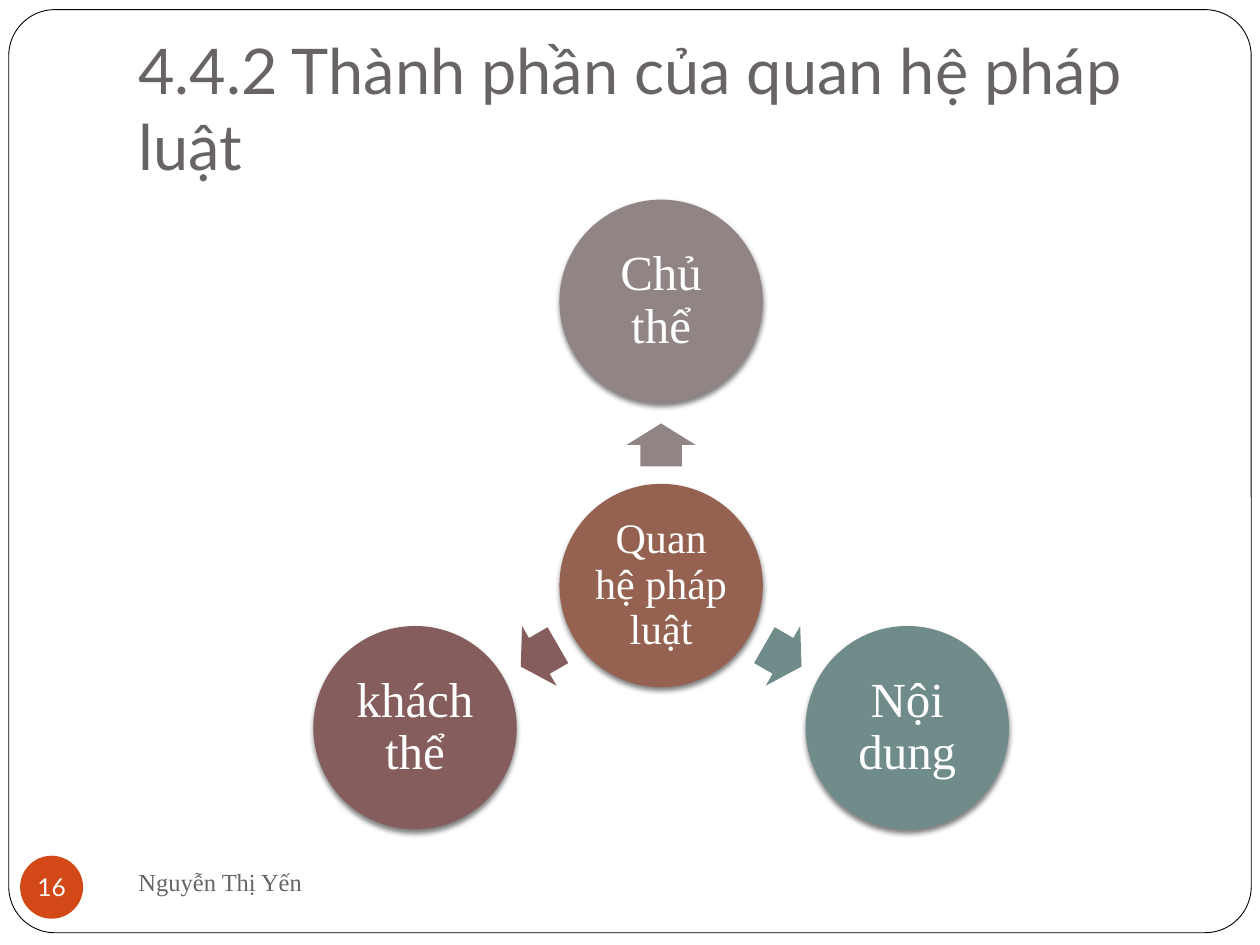
from math import cos, radians, sin

from lxml import etree
from pptx import Presentation
from pptx.dml.color import RGBColor
from pptx.enum.shapes import MSO_SHAPE
from pptx.enum.text import MSO_ANCHOR, PP_ALIGN
from pptx.oxml.ns import qn
from pptx.util import Pt

TITLE = "4.4.2 Thành phần của quan hệ pháp luật"
AUTHOR = "Nguyễn Thị Yến"
PAGE_NUMBER = "16"
HUB = ("Quan hệ pháp luật", "956251")
PARTS = [  # text, colour, direction from the hub in degrees clockwise
    ("Chủ thể", "918485", 270),
    ("Nội dung", "6F8C8B", 30),
    ("khách thể", "855D5D", 150),
]

GREY, WHITE, ORANGE = "696464", "FFFFFF", "D34817"
SANS, SERIF = "Lato", "Times New Roman"
HUB_X, HUB_Y = 377.8, 334.6
DIAMETER = 116.2
ORBIT, ARROW_ORBIT = 162.4, 80.4
ARROW_WIDTH, ARROW_HEIGHT = 24.5, 39.4


def color(value):
    return RGBColor.from_string(value)


def add_shape(kind, left, top, width, height, fill):
    shape = slide.shapes.add_shape(kind, Pt(left), Pt(top), Pt(width), Pt(height))
    shape.fill.solid()
    shape.fill.fore_color.rgb = color(fill)
    shape.line.fill.background()
    shape.shadow.inherit = False
    return shape


def set_text(shape, text, size, font, text_color, anchor=MSO_ANCHOR.MIDDLE,
             align=PP_ALIGN.LEFT, insets=(7.2, 3.6, 7.2, 3.6), wrap=True):
    """Insets run left, top, right, bottom."""
    frame = shape.text_frame
    frame.word_wrap = wrap
    frame.vertical_anchor = anchor
    (frame.margin_left, frame.margin_top,
     frame.margin_right, frame.margin_bottom) = map(Pt, insets)
    paragraph = frame.paragraphs[0]
    paragraph.text = text
    paragraph.alignment = align
    paragraph.font.size = Pt(size)
    paragraph.font.name = font
    paragraph.font.color.rgb = color(text_color)
    return paragraph


def add_text(left, top, width, height, *args, **options):
    box = slide.shapes.add_textbox(Pt(left), Pt(top), Pt(width), Pt(height))
    set_text(box, *args, **options)


def add_soft_shadow(shape):
    effects = shape._element.spPr.find(qn("a:effectLst"))
    shadow = etree.SubElement(
        effects, qn("a:outerShdw"), blurRad=str(Pt(3)), dist=str(Pt(2)),
        dir="5400000", algn="ctr", rotWithShape="0")
    black = etree.SubElement(shadow, qn("a:srgbClr"), val="000000")
    etree.SubElement(black, qn("a:alpha"), val="50000")


def around_hub(angle, distance):
    return (HUB_X + distance * cos(radians(angle)),
            HUB_Y + distance * sin(radians(angle)))


def add_circle(x, y, text, fill, size, inset):
    circle = add_shape(MSO_SHAPE.OVAL, x - DIAMETER / 2, y - DIAMETER / 2,
                       DIAMETER, DIAMETER, fill)
    add_soft_shadow(circle)
    paragraph = set_text(circle, text, size, SERIF, WHITE,
                         align=PP_ALIGN.CENTER, insets=[inset] * 4)
    paragraph.line_spacing = 0.9


def add_arrow(x, y, angle, fill):
    arrow = add_shape(MSO_SHAPE.RIGHT_ARROW, x - ARROW_WIDTH / 2,
                      y - ARROW_HEIGHT / 2, ARROW_WIDTH, ARROW_HEIGHT, fill)
    arrow.adjustments[0] = 0.6
    arrow.adjustments[1] = 0.5
    arrow.rotation = angle


presentation = Presentation()
presentation.slide_width, presentation.slide_height = Pt(720), Pt(540)
slide = presentation.slides.add_slide(presentation.slide_layouts[6])

border = add_shape(MSO_SHAPE.ROUNDED_RECTANGLE, 5, 5.5, 710, 527.5, WHITE)
border.adjustments[0] = 0.05
border.line.color.rgb = color("000000")
border.line.width = Pt(0.5)

add_text(72, 21.6, 612, 90, TITLE, 36, SANS, GREY,
         anchor=MSO_ANCHOR.BOTTOM, insets=(7.2, 3.6, 7.2, 7.2))
add_text(72, 486, 312, 36, AUTHOR, 14, SERIF, GREY)
badge = add_shape(MSO_SHAPE.OVAL, 11.5, 489, 36, 36, ORANGE)
set_text(badge, PAGE_NUMBER, 14, SANS, WHITE, align=PP_ALIGN.CENTER,
         insets=[0] * 4, wrap=False)

add_circle(HUB_X, HUB_Y, *HUB, size=24, inset=2.4)
for text, fill, angle in PARTS:
    add_arrow(*around_hub(angle, ARROW_ORBIT), angle, fill)
    add_circle(*around_hub(angle, ORBIT), text, fill, size=28, inset=2.8)

presentation.save("out.pptx")
